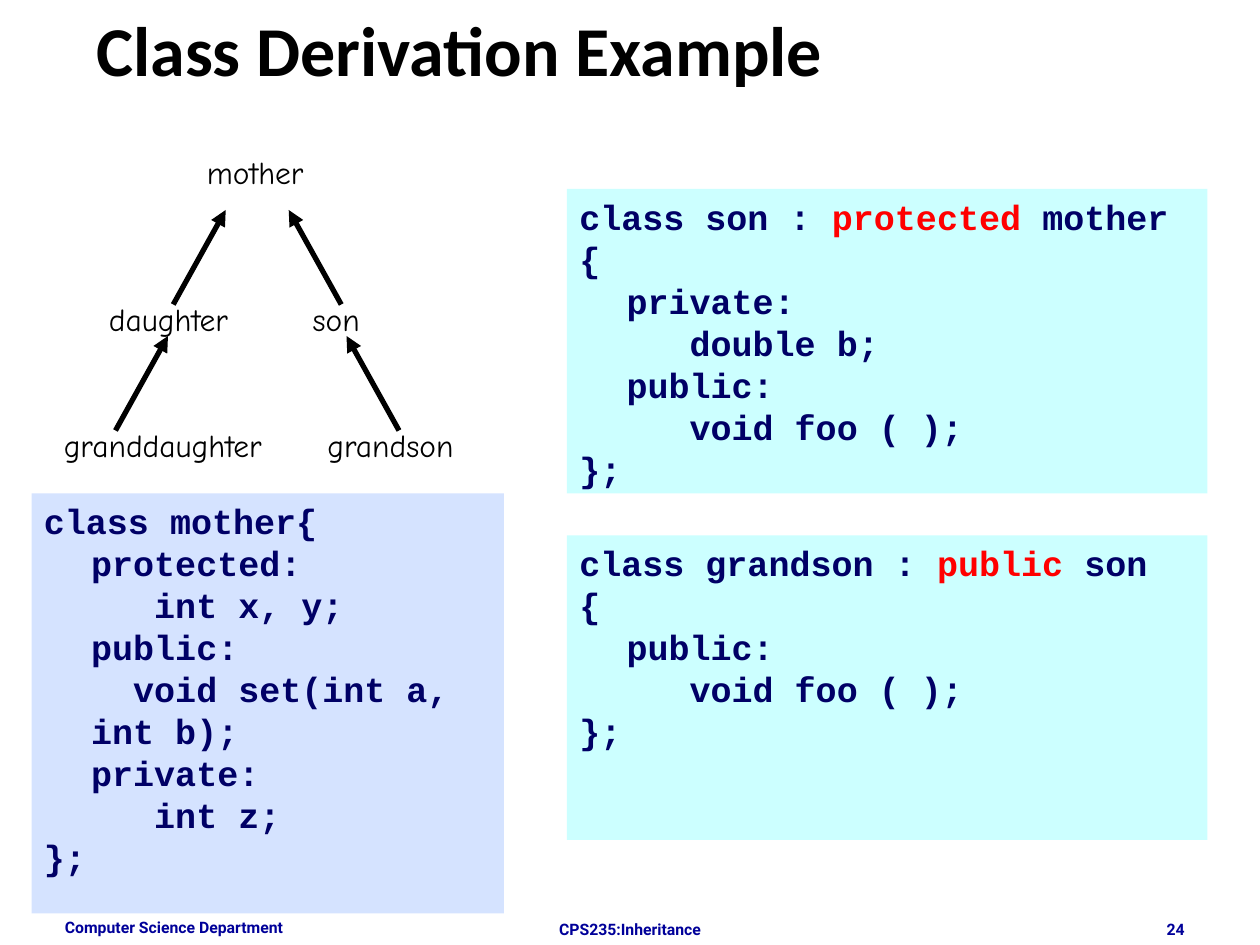
from lxml import etree
from pptx import Presentation
from pptx import util as u
from pptx.dml.color import RGBColor
from pptx.enum import shapes, text
from pptx.oxml.ns import qn

PX = 7620  # EMU per px, 120 px to the inch
INDENT, TAB = 45, 120  # hanging indent and tab step of the code, in px
BLACK = RGBColor(0x00, 0x00, 0x00)
NAVY = RGBColor(0x00, 0x00, 0x66)
BLUE = RGBColor(0x00, 0x00, 0x99)
RED = RGBColor(0xFF, 0x00, 0x00)
PALE_BLUE = RGBColor(0xD5, 0xE3, 0xFF)
PALE_CYAN = RGBColor(0xCC, 0xFF, 0xFF)

LEFT, CENTER, RIGHT = text.PP_ALIGN.LEFT, text.PP_ALIGN.CENTER, text.PP_ALIGN.RIGHT
STYLES = {
    "title": (dict(name="Calibri", size=u.Pt(40), bold=True), BLACK),
    "footer": (dict(name="Roboto", size=u.Pt(9), bold=True), BLUE),
    "label": (dict(name="Comic Neue", size=u.Pt(18), bold=False), BLACK),
    "code": (dict(name="Courier New", size=u.Pt(20), bold=True), NAVY),
}


class Deck:
    def __init__(self, width, height):
        self.prs = Presentation()
        self.prs.slide_width, self.prs.slide_height = width * PX, height * PX
        self.s = self.prs.slides.add_slide(self.prs.slide_layouts[6])

    def run(self, p, words, style, color=None):
        values, default = STYLES[style]
        r = p.add_run()
        r.text = words
        for key, value in values.items():
            setattr(r.font, key, value)
        r.font.color.rgb = color or default

    def text(self, box, words, style, align=LEFT, wrap=True, grow=False):
        tf = self.s.shapes.add_textbox(*(v * PX for v in box)).text_frame
        tf.word_wrap = wrap
        if grow:
            tf.auto_size = text.MSO_AUTO_SIZE.SHAPE_TO_FIT_TEXT
        p = tf.paragraphs[0]
        p.alignment = align
        self.run(p, words, style)

    def arrow(self, x1, y1, x2, y2):
        ln = self.s.shapes.add_connector(
            shapes.MSO_CONNECTOR.STRAIGHT, *(v * PX for v in (x1, y1, x2, y2)))
        ln.line.color.rgb = BLACK
        ln.line.width = u.Pt(3)
        props = ln.line._get_or_add_ln()
        etree.SubElement(props, qn("a:headEnd"), type="triangle")
        etree.SubElement(ln._element.spPr, qn("a:effectLst"))

    def code(self, box, fill, lines, keyword=None):
        sp = self.s.shapes.add_shape(
            shapes.MSO_SHAPE.RECTANGLE, *(v * PX for v in box))
        sp.shadow.inherit = False
        sp.fill.solid()
        sp.fill.fore_color.rgb = fill
        sp.line.fill.background()
        tf = sp.text_frame
        tf.word_wrap = True
        tf.vertical_anchor = text.MSO_ANCHOR.TOP
        for i, line in enumerate(lines):
            p = tf.add_paragraph() if i else tf.paragraphs[0]
            p.alignment = LEFT
            # Hanging indent, with tab stops counted from it
            pPr = p._p.get_or_add_pPr()
            pPr.set("marL", str(INDENT * PX))
            pPr.set("indent", str(-INDENT * PX))
            tabs = etree.SubElement(pPr, qn("a:tabLst"))
            for n in range(1, 8):
                etree.SubElement(tabs, qn("a:tab"),
                                 pos=str((INDENT + n * TAB) * PX), algn="l")
            # The access keyword of the first line stands out
            if keyword and i == 0:
                before, word, after = line.partition(keyword)
                self.run(p, before, "code")
                self.run(p, word, "code", RED)
                self.run(p, after, "code")
            else:
                self.run(p, line, "code")


def main():
    d = Deck(1200, 900)

    # Footer
    d.text((50, 868, 280, 32), "Computer Science Department", "footer")
    d.text((410, 870, 380, 12), "CPS235:Inheritance", "footer", CENTER)
    d.text((860, 870, 280, 12), "24", "footer", RIGHT)

    # Family tree
    for x, y, width, name, align, wrap in (
            (185, 140, 116, "mother", CENTER, False),
            (92, 280, 138, "daughter", LEFT, False),
            (286, 280, 74, "son", LEFT, False),
            (49, 400, 214, "granddaughter", LEFT, False),
            (300, 400, 150, "grandson", LEFT, True)):
        d.text((x, y, width, 48), name, "label", align, wrap, grow=True)
    for x, y, side in ((215, 200, -1), (275, 200, 1), (160, 320, -1), (330, 320, 1)):
        d.arrow(x, y, x + side * 50, y + 90)

    # Class definitions
    d.code((30, 470, 450, 400), PALE_BLUE, [
        "class mother{",
        "\tprotected:",
        "\t   int x, y;",
        "\tpublic:",
        "\t  void set(int a, int b);",
        "\tprivate:",
        "\t   int z;",
        "};"])
    d.code((540, 180, 610, 290), PALE_CYAN, [
        "class son : protected mother",
        "{",
        "\tprivate:",
        "\t\tdouble b;",
        "\tpublic:",
        "\t\tvoid foo ( );",
        "};"], "protected")
    d.code((540, 510, 610, 290), PALE_CYAN, [
        "class grandson : public son",
        "{",
        "\tpublic:",
        "\t\tvoid foo ( );",
        "};"], "public")

    # Title
    d.text((80, 0, 1020, 90), "Class Derivation Example", "title")

    d.prs.save("out.pptx")


if __name__ == "__main__":
    main()
